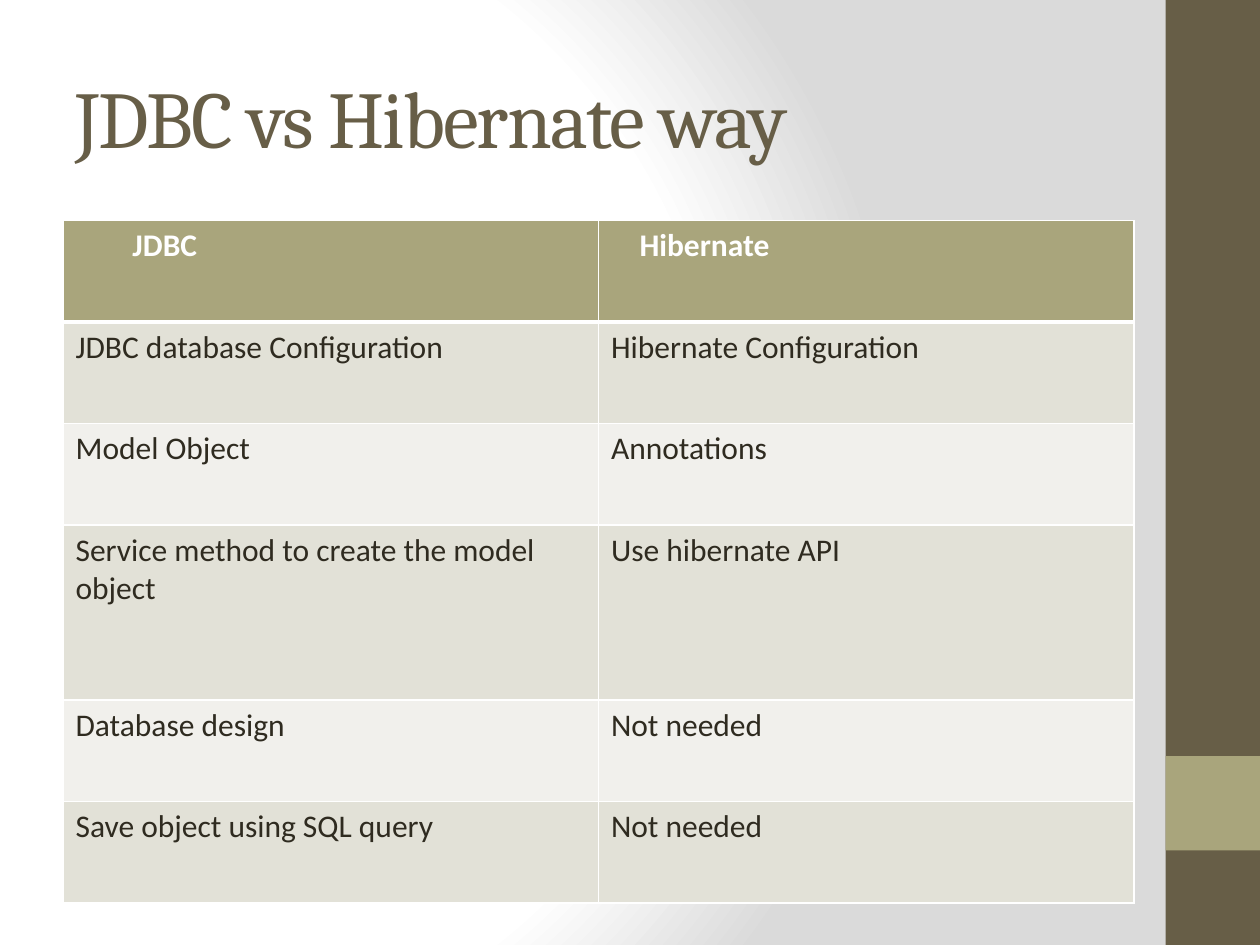
from dataclasses import dataclass

from lxml import etree
from pptx import Presentation
from pptx.dml.color import RGBColor
from pptx.enum.shapes import MSO_SHAPE
from pptx.enum.text import MSO_ANCHOR
from pptx.oxml import parse_xml
from pptx.oxml.ns import qn
from pptx.slide import Slide
from pptx.table import _Cell
from pptx.text.text import TextFrame
from pptx.util import Pt

RECTANGLE = MSO_SHAPE.RECTANGLE
MIDDLE = MSO_ANCHOR.MIDDLE
DRAWING_NAMESPACE = "http://schemas.openxmlformats.org/drawingml/2006/main"


@dataclass(frozen=True)
class Theme:
    brown: str = "675E47"
    olive: str = "A9A57C"
    ink: str = "2F2B20"
    white: str = "FFFFFF"
    gray: str = "DADADA"
    bands: tuple[str, str] = ("E2E1D7", "F1F0EC")
    title_font: str = "Cambria"
    body_font: str = "Calibri"
    title_size: float = 46
    body_size: float = 18


@dataclass(frozen=True)
class Box:
    left: float
    top: float
    width: float
    height: float

    def lengths(self) -> tuple[Pt, Pt, Pt, Pt]:
        return Pt(self.left), Pt(self.top), Pt(self.width), Pt(self.height)


@dataclass(frozen=True)
class Bar:
    box: Box
    color: str


@dataclass(frozen=True)
class Row:
    texts: tuple[str, str]
    height: float = 58


THEME = Theme()
BARS = (
    Bar(Box(666, 0, 54, 540), THEME.brown),
    Bar(Box(666, 432, 54, 54), THEME.olive),
)
TITLE_BOX = Box(36, 21.6, 600, 90)
TABLE_BOX = Box(36, 126, 612, 390)
HEADER_INDENTS = (32.5, 16.25)
ROWS = (
    Row(("JDBC", "Hibernate")),
    Row(("JDBC database Configuration", "Hibernate Configuration")),
    Row(("Model Object", "Annotations")),
    Row(("Service method to create the model object", "Use hibernate API"), 100),
    Row(("Database design", "Not needed")),
    Row(("Save object using SQL query", "Not needed")),
)


def paint_background(slide: Slide) -> None:
    """Fill the background with a circular gradient, white to gray."""
    slide.background.fill.solid()
    solid = slide.element.find(".//" + qn("p:bgPr")).find(qn("a:solidFill"))
    stops = "".join(
        f'<a:gs pos="{position * 1000}"><a:srgbClr val="{color}"/></a:gs>'
        for position, color in ((0, THEME.white), (75, THEME.white), (100, THEME.gray))
    )
    gradient = parse_xml(
        f'<a:gradFill xmlns:a="{DRAWING_NAMESPACE}" rotWithShape="1"><a:gsLst>{stops}</a:gsLst>'
        '<a:path path="circle"><a:fillToRect l="20000" t="50000" r="100000" b="50000"/>'
        "</a:path></a:gradFill>"
    )
    solid.getparent().replace(solid, gradient)


def draw_bar(slide: Slide, bar: Bar) -> None:
    shape = slide.shapes.add_shape(RECTANGLE, *bar.box.lengths())
    shape.shadow.inherit = False
    shape.fill.solid()
    shape.fill.fore_color.rgb = RGBColor.from_string(bar.color)
    shape.line.fill.background()


def write_text(frame: TextFrame, text: str, color: str, font_values: dict) -> None:
    run = frame.paragraphs[0].add_run()
    run.text = text
    for name, value in font_values.items():
        setattr(run.font, name, value)
    run.font.color.rgb = RGBColor.from_string(color)


def draw_title(slide: Slide, text: str) -> None:
    frame = slide.shapes.add_textbox(*TITLE_BOX.lengths()).text_frame
    frame.word_wrap = True
    frame.vertical_anchor = MIDDLE
    font_values = {"name": THEME.title_font, "size": Pt(THEME.title_size)}
    write_text(frame, text, THEME.brown, font_values)
    frame.paragraphs[0].runs[0].font._element.set("spc", "-100")


def set_borders(cell: _Cell, widths: dict[str, float]) -> None:
    properties = cell._tc.get_or_add_tcPr()
    for index, (side, width) in enumerate(widths.items()):
        line = etree.Element(qn(f"a:{side}"), w=str(Pt(width)))
        fill = etree.SubElement(line, qn("a:solidFill"))
        etree.SubElement(fill, qn("a:srgbClr"), val=THEME.white)
        properties.insert(index, line)


def draw_table(slide: Slide, rows: tuple[Row, ...]) -> None:
    column_count = len(rows[0].texts)
    table = slide.shapes.add_table(len(rows), column_count, *TABLE_BOX.lengths()).table
    for column in table.columns:
        column.width = Pt(TABLE_BOX.width / column_count)
    for row_index, row in enumerate(rows):
        is_header = row_index == 0
        table.rows[row_index].height = Pt(row.height)
        fill_color = THEME.olive if is_header else THEME.bands[(row_index - 1) % 2]
        text_color = THEME.white if is_header else THEME.ink
        font_values = {"name": THEME.body_font, "size": Pt(THEME.body_size), "bold": is_header}
        border_widths = {
            "lnL": 1,
            "lnR": 1,
            "lnT": 3 if row_index == 1 else 1,
            "lnB": 3 if is_header else 1,
        }
        for column_index, text in enumerate(row.texts):
            cell = table.cell(row_index, column_index)
            cell.fill.solid()
            cell.fill.fore_color.rgb = RGBColor.from_string(fill_color)
            set_borders(cell, border_widths)
            write_text(cell.text_frame, text, text_color, font_values)
            if is_header:
                paragraph = cell.text_frame.paragraphs[0]
                indent = Pt(HEADER_INDENTS[column_index])
                paragraph._p.get_or_add_pPr().set("marL", str(indent))


def main() -> None:
    presentation = Presentation()
    presentation.slide_width, presentation.slide_height = Pt(720), Pt(540)
    slide = presentation.slides.add_slide(presentation.slide_layouts[6])
    paint_background(slide)
    for bar in BARS:
        draw_bar(slide, bar)
    draw_title(slide, "JDBC vs Hibernate way")
    draw_table(slide, ROWS)
    presentation.save("out.pptx")


if __name__ == "__main__":
    main()
